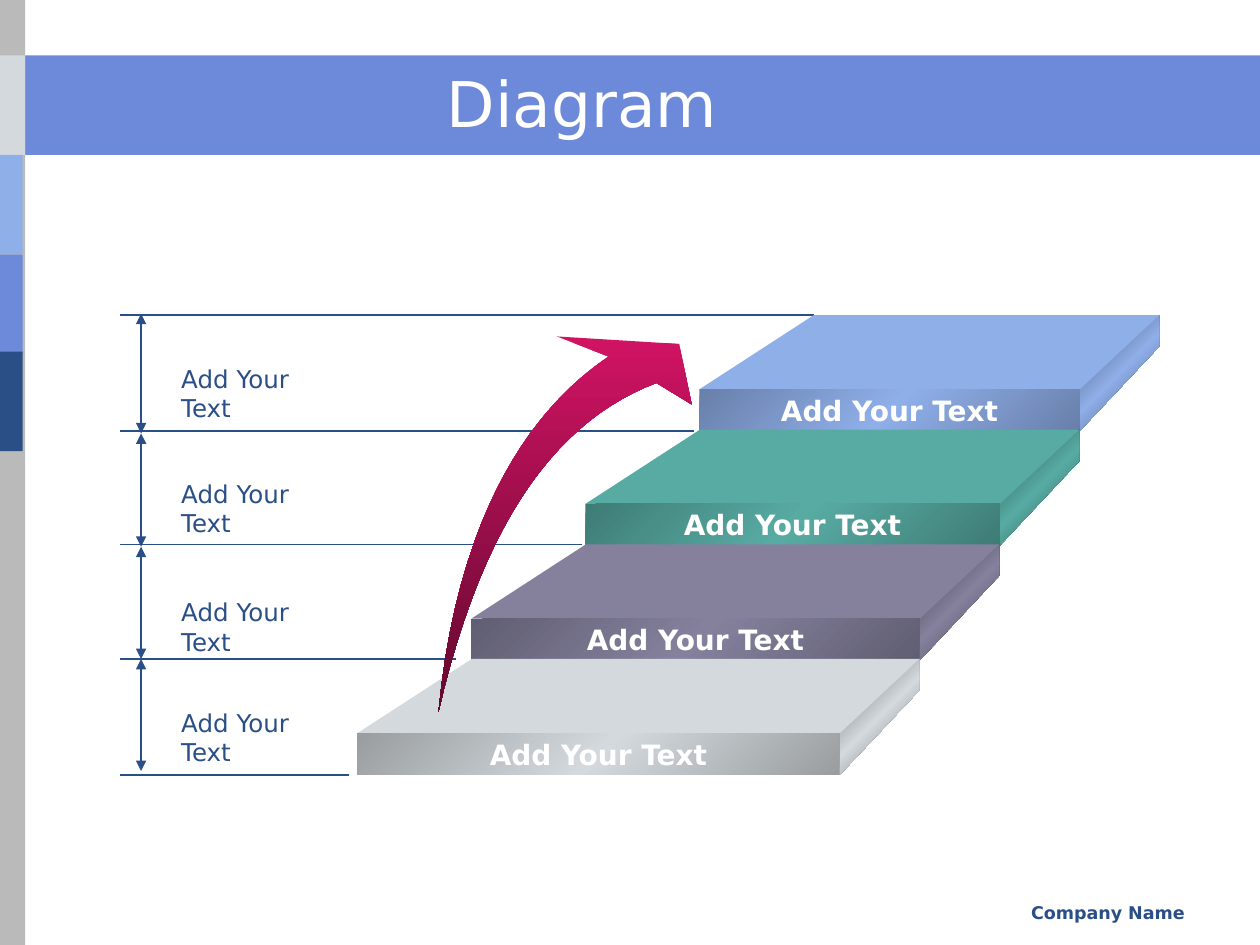
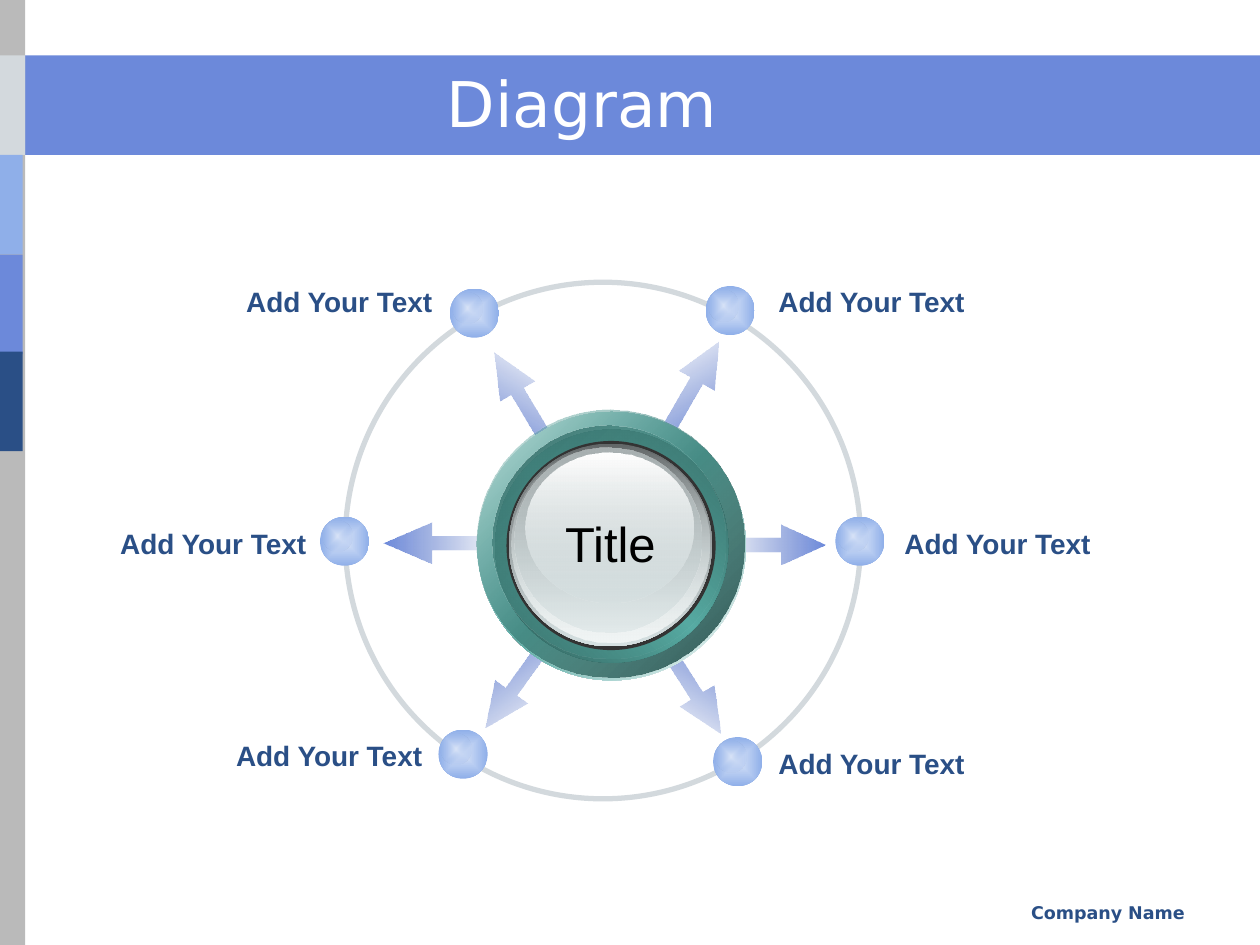
import pptx
import pptx.util
import pptx.dml.color
import pptx.enum.shapes
import pptx.enum.text
import pptx.oxml
import pptx.oxml.ns
from dataclasses import dataclass

SHAPE = pptx.enum.shapes.MSO_SHAPE
ALIGN = pptx.enum.text.PP_ALIGN
ANCHOR = pptx.enum.text.MSO_ANCHOR


@dataclass(frozen=True)
class Theme:
    heading_font: str = "DejaVu Sans"
    body_font: str = "Arial"
    white: str = "FFFFFF"
    black: str = "000000"
    gray: str = "BABABA"
    silver: str = "D3D9DD"
    sky: str = "8FAFE9"
    blue: str = "6C89DA"
    navy: str = "2A4F86"
    teal: str = "57ABA3"
    mauve: str = "85819D"
    ice: str = "D9E4F8"
    glass: str = "D6E1E2"
    title_size: int = 36
    hub_size: int = 28
    label_size: int = 16
    note_size: int = 14
    footer_size: int = 10


THEME = Theme()

# Content shared by both slides
TITLE = "Diagram"
FOOTER = "Company Name"
BANDS = [  # left, top, width, height, colour
    (0, 0.44, 10, 0.79, THEME.blue),
    (-0.01, 0, 0.21, 7.5, THEME.gray),
    (0, 0.44, 0.2, 0.79, THEME.silver),
    (-0.02, 1.23, 0.2, 0.79, THEME.sky),
    (-0.02, 2.02, 0.2, 0.79, THEME.blue),
    (-0.02, 2.79, 0.2, 0.79, THEME.navy),
]

# Staircase: step text and colour, side note and its top
STEPS = [
    ("Add Your Text", THEME.sky, "Add Your Text", 2.84),
    ("Add Your Text", THEME.teal, "Add Your Text", 3.75),
    ("Add Your Text", THEME.mauve, "Add Your Text", 4.69),
    ("Add Your Text", THEME.silver, "Add Your Text", 5.57),
]
GUIDES = [(2.5, 6.46), (3.42, 5.51), (4.32, 4.62), (5.23, 3.62), (6.15, 2.77)]  # y, right end
MEASURE_MARKS = [2.49, 3.44, 4.34, 5.23, 6.12]
SWOOSH_OUTER = [(3.48, 5.65), (3.66, 3.8), (4.42, 3.11), (4.83, 2.83)]
SWOOSH_HEAD = [(4.42, 2.67), (5.39, 2.73), (5.49, 3.21)]
SWOOSH_INNER = [(5.21, 3.04), (4.47, 3.32), (3.85, 4.05), (3.48, 5.65)]
SWOOSH_STOPS = [(0, "D11364"), (100, "61092E")]

# Wheel: hub, spokes and satellites
HUB_TEXT = "Title"
SATELLITES = [  # ball left and top, label left and top, text, alignment
    (3.57, 2.29, 1.82, 2.21, "Add Your Text", ALIGN.RIGHT),
    (2.54, 4.1, 0.82, 4.13, "Add Your Text", ALIGN.RIGHT),
    (3.48, 5.79, 1.74, 5.81, "Add Your Text", ALIGN.RIGHT),
    (5.6, 2.27, 6.08, 2.21, "Add Your Text", ALIGN.LEFT),
    (6.63, 4.1, 7.08, 4.13, "Add Your Text", ALIGN.LEFT),
    (5.66, 5.85, 6.08, 5.88, "Add Your Text", ALIGN.LEFT),
]
SPOKES = [  # left, top, length, rotation
    (5.05, 2.93, 0.87, 299.6), (5.05, 5.29, 0.87, 57.8),
    (3.71, 3.01, 0.87, 239.5), (3.67, 5.26, 0.87, 125.6),
    (5.68, 4.16, 0.87, 0), (3.04, 4.15, 0.94, 180),
]
HUB_DISCS = [  # left, top, width, height, stops (position, colour, opacity), angle
    (3.79, 3.27, 2.13, 2.13, [(0, THEME.white), (50, THEME.teal), (100, THEME.white)], 225),
    (3.78, 3.25, 2.13, 2.13, [(0, "284F4B"), (100, THEME.teal, 32)], 225),
    (3.93, 3.41, 1.85, 1.85, [(0, "2F5D58"), (50, THEME.teal), (100, "2F5D58")], 135),
    (3.91, 3.38, 1.85, 1.85, [(0, THEME.teal, 0), (100, "376D68")], 225),
    (4.02, 3.5, 1.66, 1.66, "333333", 0),
    (4.04, 3.52, 1.61, 1.61, [(0, "636869"), (100, THEME.glass)], 90),
    (4.06, 3.53, 1.57, 1.57, [(0, THEME.glass, 0), (100, "F1F5F5")], 90),
    (4.08, 3.55, 1.49, 1.47, [(0, "AAB2B3"), (100, THEME.glass, 48)], 90),
    (4.17, 3.59, 1.33, 1.19, [(0, THEME.white), (100, THEME.glass, 38)], 90),
]


# Drawing helpers
def inches(*values):
    return [pptx.util.Inches(value) for value in values]


def rgb(code):
    return pptx.dml.color.RGBColor.from_string(code)


def shade(code, share):
    return "".join(f"{round(int(code[i:i + 2], 16) * share):02X}" for i in (0, 2, 4))


def paint(shape, fill, angle=0):
    """Fill with one colour, or a list of stops; angle None runs from the centre."""
    shape.shadow.inherit = False
    shape.line.fill.background()
    if isinstance(fill, str):
        shape.fill.solid()
        shape.fill.fore_color.rgb = rgb(fill)
        return
    stops = ""
    for position, code, *opacity in fill:
        alpha = f'<a:alpha val="{opacity[0] * 1000}"/>' if opacity else ""
        stops += f'<a:gs pos="{position * 1000}"><a:srgbClr val="{code}">{alpha}</a:srgbClr></a:gs>'
    if angle is None:
        course = '<a:path path="rect"><a:fillToRect l="50000" t="50000" r="50000" b="50000"/></a:path>'
    else:
        course = f'<a:lin ang="{round(angle * 60000)}" scaled="0"/>'
    gradient = pptx.oxml.parse_xml(
        f'<a:gradFill {pptx.oxml.ns.nsdecls("a")} rotWithShape="0">'
        f"<a:gsLst>{stops}</a:gsLst>{course}</a:gradFill>")
    shape.fill.background()
    properties = shape.element.spPr
    properties.replace(properties.find(pptx.oxml.ns.qn("a:noFill")), gradient)


def add_block(page, kind, left, top, width, height, fill, angle=0):
    shape = page.shapes.add_shape(kind, *inches(left, top, width, height))
    paint(shape, fill, angle)
    return shape


def add_outline(page, points, fill, angle=0):
    points = [tuple(inches(*point)) for point in points]
    builder = page.shapes.build_freeform(*points[0], scale=1.0)
    builder.add_line_segments(points[1:], close=True)
    shape = builder.convert_to_shape()
    paint(shape, fill, angle)
    return shape


def write(shape, text, size, color, font=THEME.heading_font, bold=False,
          align=ALIGN.LEFT, anchor=ANCHOR.TOP, wrap=False):
    frame = shape.text_frame
    frame.text = text
    frame.word_wrap = wrap
    frame.auto_size = pptx.enum.text.MSO_AUTO_SIZE.NONE
    frame.vertical_anchor = anchor
    para = frame.paragraphs[0]
    para.alignment = align
    span = para.runs[0].font
    span.name, span.size, span.bold = font, pptx.util.Pt(size), bold
    span.color.rgb = rgb(color)


def add_text(page, left, top, width, height, text, size, color, **style):
    box = page.shapes.add_textbox(*inches(left, top, width, height))
    write(box, text, size, color, **style)
    return box


def add_line(page, start, end, arrows=False):
    line = page.shapes.add_connector(
        pptx.enum.shapes.MSO_CONNECTOR.STRAIGHT, *inches(*start, *end))
    line.line.color.rgb = rgb(THEME.navy)
    line.line.width = pptx.util.Pt(0.75)
    if arrows:
        for name in ("headEnd", "tailEnd"):
            line.line._get_or_add_ln().append(pptx.oxml.parse_xml(
                f'<a:{name} {pptx.oxml.ns.nsdecls("a")} type="triangle"/>'))
    line.element.spPr.append(
        pptx.oxml.parse_xml(f'<a:effectLst {pptx.oxml.ns.nsdecls("a")}/>'))


def bezier(p0, p1, p2, p3, pieces=24):
    curve = []
    for i in range(pieces + 1):
        t = i / pieces
        weights = ((1 - t) ** 3, 3 * t * (1 - t) ** 2, 3 * t * t * (1 - t), t ** 3)
        curve.append(tuple(sum(w * p[axis] for w, p in zip(weights, (p0, p1, p2, p3)))
                           for axis in (0, 1)))
    return curve


# Shared frame: bands and footer move from a page to its layout
def move_frame_to_layout(page):
    frame = [add_block(page, SHAPE.RECTANGLE, *band) for band in BANDS]
    frame.append(add_text(page, 6.33, 7.11, 3.17, 0.25, FOOTER, THEME.footer_size,
                          THEME.navy, bold=True, align=ALIGN.RIGHT, wrap=True))
    for number, shape in enumerate(frame, start=100):
        shape.element.nvSpPr.cNvPr.set("id", str(number))
        page.slide_layout.shapes.element.append(shape.element)


def add_page(deck, layout):
    page = deck.slides.add_slide(layout)
    title = page.shapes.title
    title.left, title.top, title.width, title.height = inches(0.58, 0.5, 8.08, 0.62)
    write(title, TITLE, THEME.title_size, THEME.white, align=ALIGN.CENTER,
          anchor=ANCHOR.MIDDLE, wrap=True)
    return page


def draw_staircase(page):
    # Guide lines and height arrows
    for y, right in GUIDES:
        add_line(page, (right, y), (0.95, y))
    for upper, lower in zip(MEASURE_MARKS, MEASURE_MARKS[1:]):
        add_line(page, (1.12, upper), (1.12, lower), arrows=True)

    # Steps, each one pitch lower and wider than the last
    depth, shift, run, front_height = 0.59, 0.91, 0.63, 0.33
    for i, (text, color, note, note_top) in enumerate(STEPS):
        top, left, right = 2.5 + 0.91 * i, 5.55 - 0.905 * i, 8.57 - 0.635 * i
        edge = top + depth
        base = edge + front_height
        dark, dim = shade(color, 0.46), shade(color, 0.725)
        add_outline(page, [(right + run, top + 0.25), (right, base), (right, edge),
                           (right + run, top)],
                    [(0, dark), (50, color), (100, dark)], 225)
        add_outline(page, [(right, edge), (left, edge), (left + shift, top),
                           (right + run, top)], color)
        front = add_block(page, SHAPE.RECTANGLE, left, edge, right - left, front_height,
                          [(0, dim), (50, color), (100, dim)], 225)
        write(front, text, THEME.label_size, THEME.white, bold=True,
              align=ALIGN.CENTER, anchor=ANCHOR.MIDDLE)
        add_text(page, 1.34, note_top, 1.4, 0.34, note, THEME.note_size,
                 THEME.navy, wrap=True)

    # Rising arrow
    add_outline(page, bezier(*SWOOSH_OUTER) + SWOOSH_HEAD + bezier(*SWOOSH_INNER),
                SWOOSH_STOPS, 90)


def draw_wheel(page):
    # Spokes fade along a direction mirrored from their rotation
    for left, top, length, rotation in SPOKES:
        spoke = add_block(page, SHAPE.RIGHT_ARROW, left, top, length, 0.32,
                          [(0, THEME.blue), (100, "607AC2", 0)], (180 - rotation) % 360)
        spoke.rotation = rotation
        spoke.adjustments[0] = 0.35
        spoke.adjustments[1] = 1.11 * length / 0.87

    # Rim
    rim = add_block(page, SHAPE.OVAL, 2.74, 2.24, 4.09, 4.1, THEME.white)
    rim.fill.background()
    rim.line.color.rgb = rgb(THEME.silver)
    rim.line.width = pptx.util.Pt(3)

    # Satellites and their labels
    for left, top, label_left, label_top, text, align in SATELLITES:
        add_block(page, SHAPE.OVAL, left, top, 0.39, 0.39,
                  [(0, THEME.ice), (100, THEME.sky)], None)
        add_block(page, SHAPE.OVAL, left + 0.02, top + 0.03, 0.24, 0.25,
                  [(0, THEME.ice), (100, THEME.sky, 0)], None)
        add_text(page, label_left, label_top, 1.71, 0.37, text, THEME.label_size,
                 THEME.navy, font=THEME.body_font, bold=True, align=align)

    # Hub
    for disc in HUB_DISCS:
        add_block(page, SHAPE.OVAL, *disc)
    add_text(page, 4.38, 4.03, 0.93, 0.57, HUB_TEXT, THEME.hub_size, THEME.black,
             font=THEME.body_font, align=ALIGN.CENTER)


def main():
    deck = pptx.Presentation()
    deck.slide_width, deck.slide_height = inches(10, 7.5)
    layout = deck.slide_layouts[5]
    staircase, wheel = add_page(deck, layout), add_page(deck, layout)
    move_frame_to_layout(staircase)
    draw_staircase(staircase)
    draw_wheel(wheel)
    deck.save("out.pptx")


if __name__ == "__main__":
    main()
